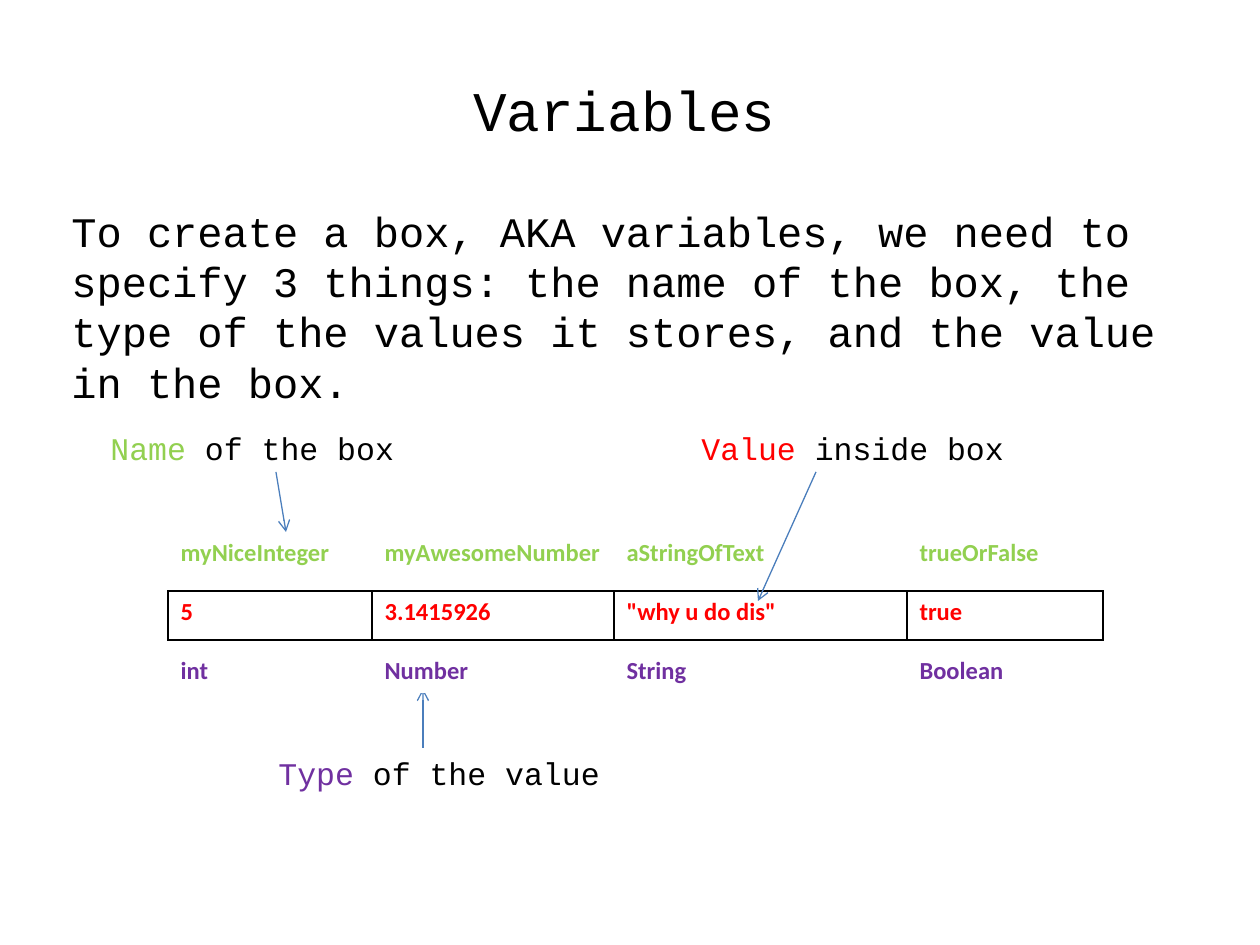
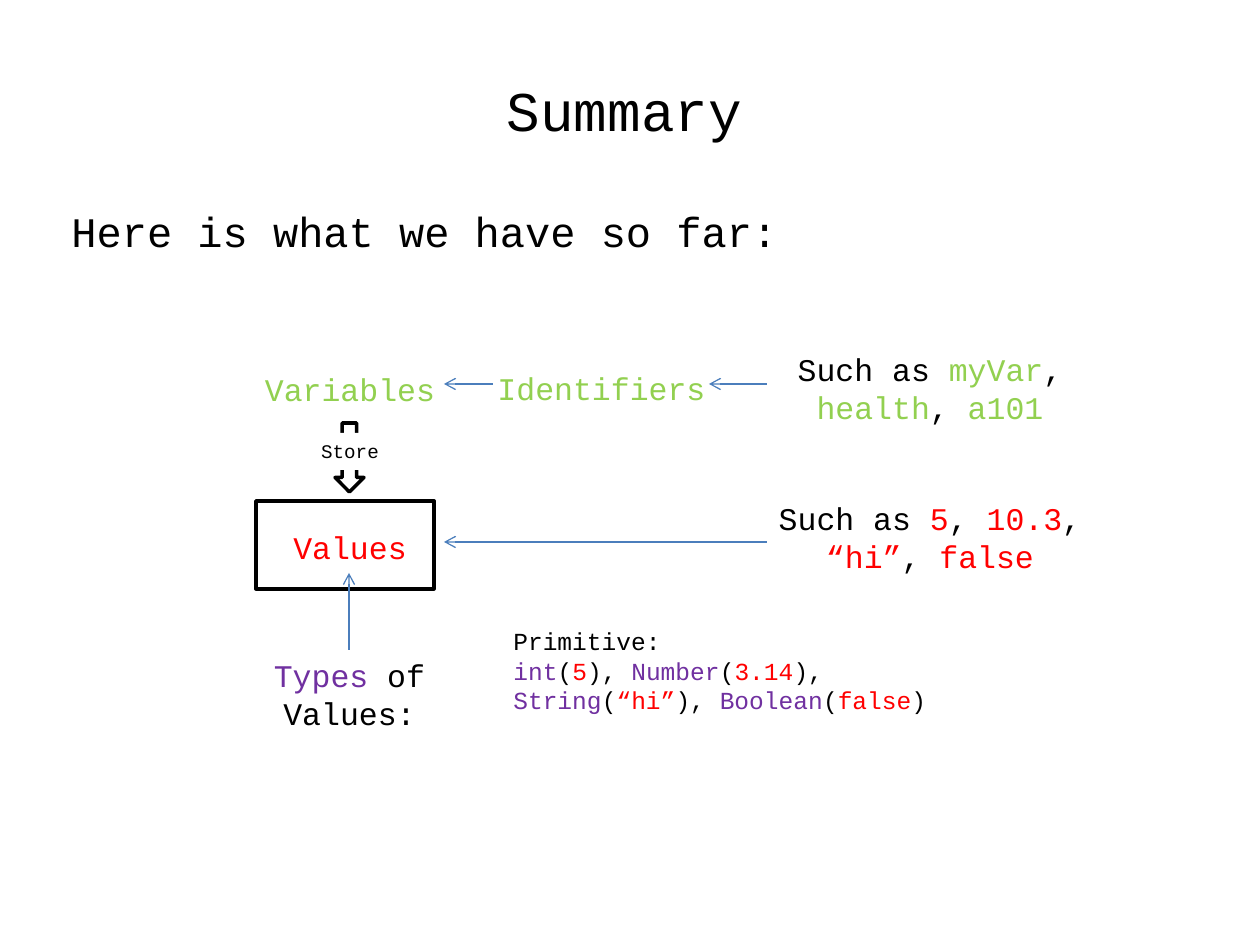
"""Build two slides on variables: how to make them, and a summary."""
import pptx
import pptx.util
import pptx.dml.color
import pptx.enum.shapes
import pptx.enum.text
import pptx.oxml
import pptx.oxml.ns


class Theme:
    mono, sans = "Courier New", "Calibri"
    ink, paper, arrow = "000000", "FFFFFF", "4B7EBC"
    name, value, kind = "92D050", "FF0000", "7030A0"
    head, lead, label, small, tiny = 32, 24, 18, 14, 11
    thin, edge, thick = 0.75, 1, 2


T = Theme
SCALE = 914400 // 126
LEFT, MID = pptx.enum.text.PP_ALIGN.LEFT, pptx.enum.text.PP_ALIGN.CENTER
SHAPE = pptx.enum.shapes.MSO_SHAPE

LEADS = [
    ("Variables", "To create a box, AKA variables, we need to specify 3 things: "
     "the name of the box, the type of the values it stores, and the value in the box.", 217),
    ("Summary", "Here is what we have so far: ", 63),
]

COLS = [204, 242, 293, 196]
ROWS = {
    "name": (["myNiceInteger", "myAwesomeNumber", "aStringOfText", "trueOrFalse"], T.name, 49),
    "value": (["5", "3.1415926", '"why u do dis"', "true"], T.value, 49),
    "kind": (["int", "Number", "String", "Boolean"], T.kind, 39),
}
GRID_X, GRID_Y, PITCH = 168, 532, 59

PARTS = [
    (98, 423, [("Name", T.name), (" of the box", T.ink)]),
    (266, 748, [("Type", T.kind), (" of the value", T.ink)]),
    (689, 423, [("Value", T.value), (" inside box", T.ink)]),
]
TIPS = [(276, 472, 286, 532), (423, 748, 423, 689)]
VALUE_TIP = (816, 472, 758, 601)

NODES = [
    ((168, 364, 364, 50), [("Variables", T.name)]),
    ((168, 522, 364, 50), [("Values", T.value)]),
    ((483, 363, 237, 50), [("Identifiers", T.name)]),
    ((748, 344, 364, 89), [("Such as ", T.ink), ("myVar", T.name), (", ", T.ink),
                           ("health", T.name), (", ", T.ink), ("a101", T.name)]),
    ((748, 493, 364, 89), [("Such as ", T.ink), ("5", T.value), (", ", T.ink),
                           ("10.3", T.value), (", ", T.ink), ("“hi”", T.value),
                           (", ", T.ink), ("false", T.value)]),
    ((197, 650, 305, 50), [("Types", T.kind), (" of Values:", T.ink)]),
]
LINKS = [(767, 542, 444, 542), (493, 384, 444, 384),
         (767, 384, 709, 384), (349, 650, 349, 573)]
TYPES = [("int", "5"), ("Number", "3.14"), ("String", "“hi”"), ("Boolean", "false")]


def px(*nums):
    return [pptx.util.Emu(n * SCALE) for n in nums]


def rgb(code):
    return pptx.dml.color.RGBColor.from_string(code)


def write(para, runs, size, font=T.mono, bold=False):
    for text, color in runs:
        run = para.add_run()
        run.text = text
        run.font.name, run.font.size = font, pptx.util.Pt(size)
        run.font.bold = bold
        run.font.color.rgb = rgb(color)


def add_text(slide, box, paras, size, align=LEFT, fill=None):
    shape = slide.shapes.add_textbox(*px(*box))
    frame = shape.text_frame
    frame.word_wrap = True
    frame.auto_size = pptx.enum.text.MSO_AUTO_SIZE.SHAPE_TO_FIT_TEXT
    if fill:
        shape.fill.solid()
        shape.fill.fore_color.rgb = rgb(fill)
    for i, runs in enumerate(paras):
        para = frame.add_paragraph() if i else frame.paragraphs[0]
        para.alignment = align
        write(para, runs, size)


def add_frame(slide, kind, box):
    shape = slide.shapes.add_shape(kind, *px(*box))
    shape.shadow.inherit = False
    shape.fill.background()
    shape.line.color.rgb = rgb(T.ink)
    shape.line.width = pptx.util.Pt(T.thick)


def add_arrow(slide, ends):
    line = slide.shapes.add_connector(pptx.enum.shapes.MSO_CONNECTOR.STRAIGHT, *px(*ends))
    line.line.color.rgb = rgb(T.arrow)
    line.line.width = pptx.util.Pt(T.thin)
    props = line.element.spPr
    stroke = props.find(pptx.oxml.ns.qn("a:ln"))
    space = pptx.oxml.ns.nsdecls("a")
    stroke.append(pptx.oxml.parse_xml(f'<a:tailEnd {space} type="arrow"/>'))
    props.append(pptx.oxml.parse_xml(f"<a:effectLst {space}/>"))


def add_edge(cell):
    props = cell.fill and cell._tc.get_or_add_tcPr()
    space = pptx.oxml.ns.nsdecls("a")
    for i, side in enumerate(("lnL", "lnR", "lnT", "lnB")):
        props.insert(i, pptx.oxml.parse_xml(
            f'<a:{side} {space} w="{pptx.util.Pt(T.edge)}"><a:solidFill>'
            f'<a:srgbClr val="{T.ink}"/></a:solidFill></a:{side}>'))


def add_row(slide, key):
    words, color, high = ROWS[key]
    top = GRID_Y + list(ROWS).index(key) * PITCH
    table = slide.shapes.add_table(
        1, len(COLS), *px(GRID_X, top, sum(COLS), high)).table
    table.first_row = table.horz_banding = False
    for i, (word, wide) in enumerate(zip(words, COLS)):
        table.columns[i].width = px(wide)[0]
        cell = table.cell(0, i)
        cell.fill.solid()
        cell.fill.fore_color.rgb = rgb(T.paper)
        write(cell.text_frame.paragraphs[0], [(word, color)], T.small, T.sans, True)
        if key == "value":
            add_edge(cell)


def add_page(deck, head, lead, high):
    slide = deck.slides.add_slide(deck.slide_layouts[6])
    add_text(slide, (59, 69, 1131, 81), [[(head, T.ink)]], T.head, MID)
    add_text(slide, (59, 199, 1131, high), [[(lead, T.ink)]], T.lead)
    return slide


def draw_boxes(slide):
    add_row(slide, "value")
    add_row(slide, "name")
    for ends in TIPS:
        add_arrow(slide, ends)
    add_row(slide, "kind")
    add_arrow(slide, VALUE_TIP)
    for left, top, runs in PARTS:
        add_text(slide, (left, top, 512, 50), [runs], T.label)


def draw_map(slide):
    add_frame(slide, SHAPE.RECTANGLE, (256, 501, 178, 88))
    for box, runs in NODES:
        add_text(slide, box, [runs], T.label, MID)
    for ends in LINKS:
        add_arrow(slide, ends)
    add_frame(slide, SHAPE.DOWN_ARROW, (335, 423, 29, 69))
    add_text(slide, (168, 433, 364, 37), [[("Store", T.ink)]], T.tiny, MID, T.paper)
    runs = []
    for i, (kind, value) in enumerate(TYPES):
        close = "), " if i < len(TYPES) - 1 else ") "
        runs += [(kind, T.kind), ("(", T.ink), (value, T.value), (close, T.ink)]
    add_text(slide, (501, 620, 473, 102), [[("Primitive: ", T.ink)], runs], T.small)


def main():
    deck = pptx.Presentation()
    deck.slide_width, deck.slide_height = px(1260, 945)
    for page, draw in zip(LEADS, (draw_boxes, draw_map)):
        draw(add_page(deck, *page))
    deck.save("out.pptx")


main()
